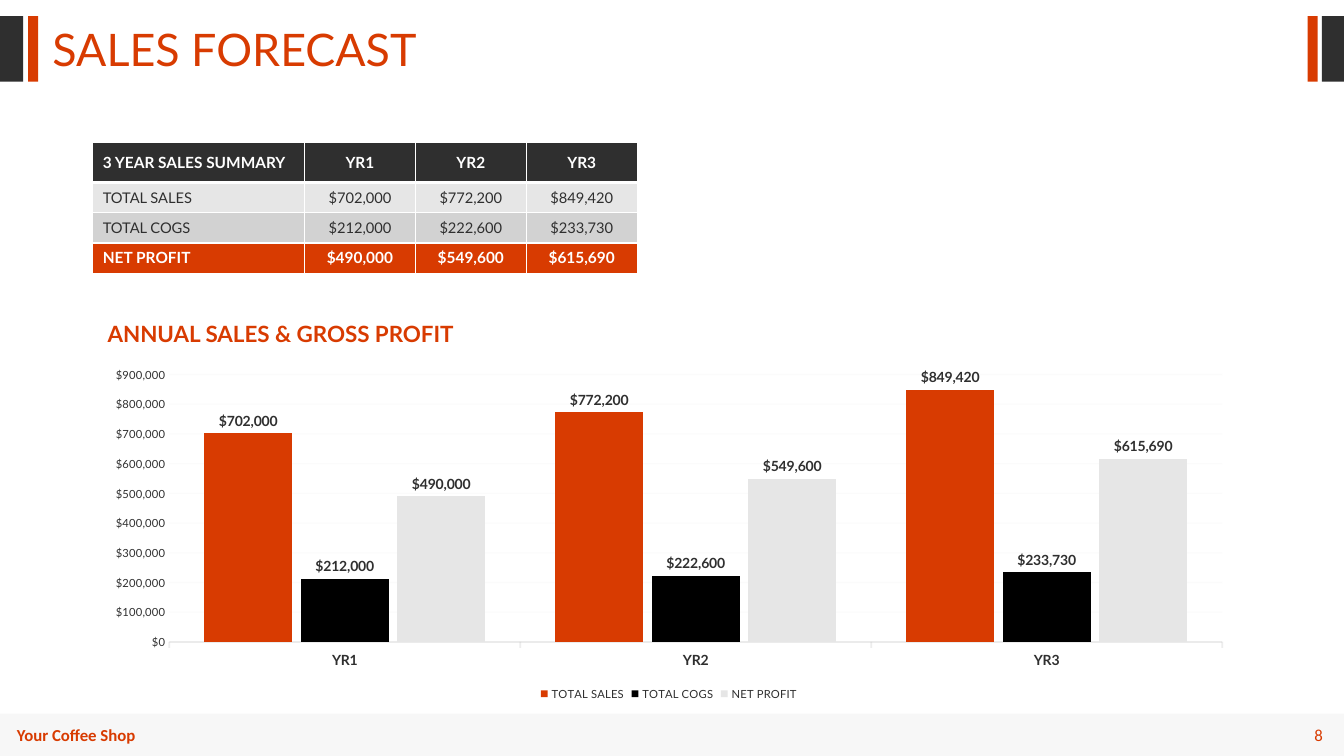
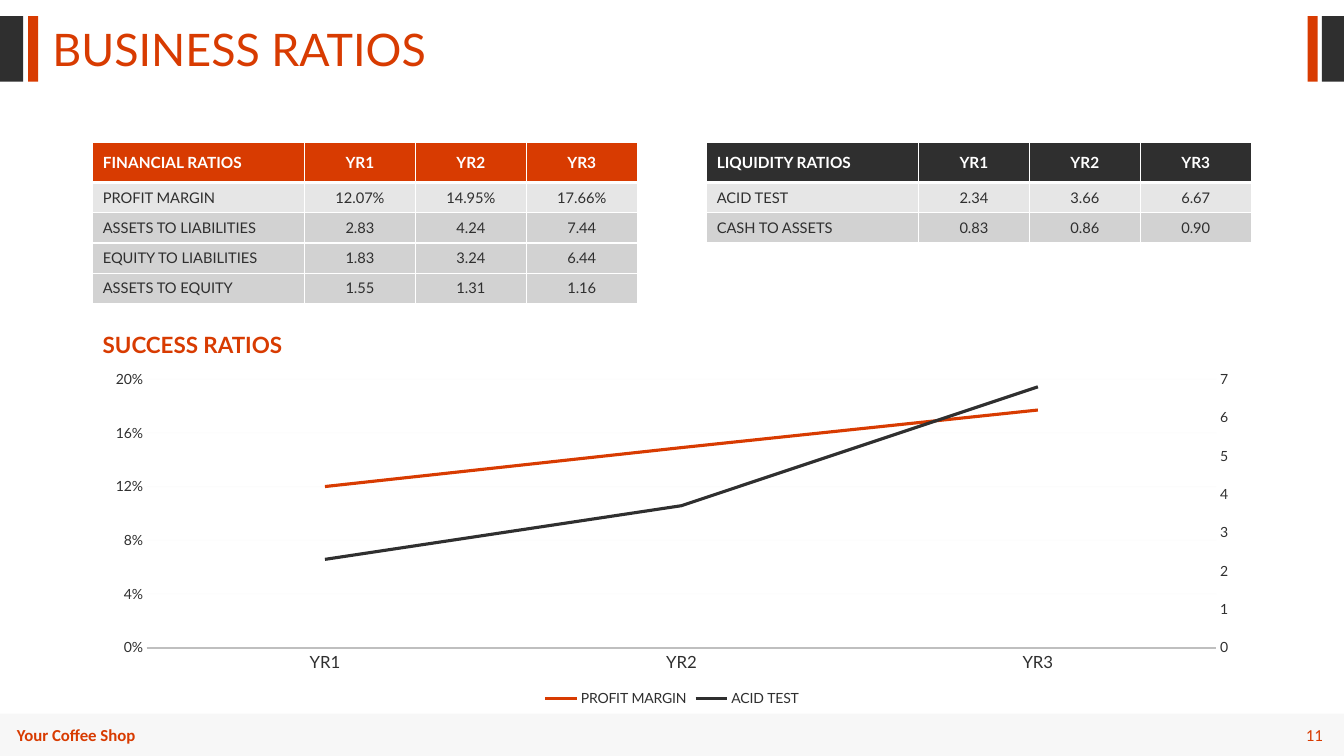
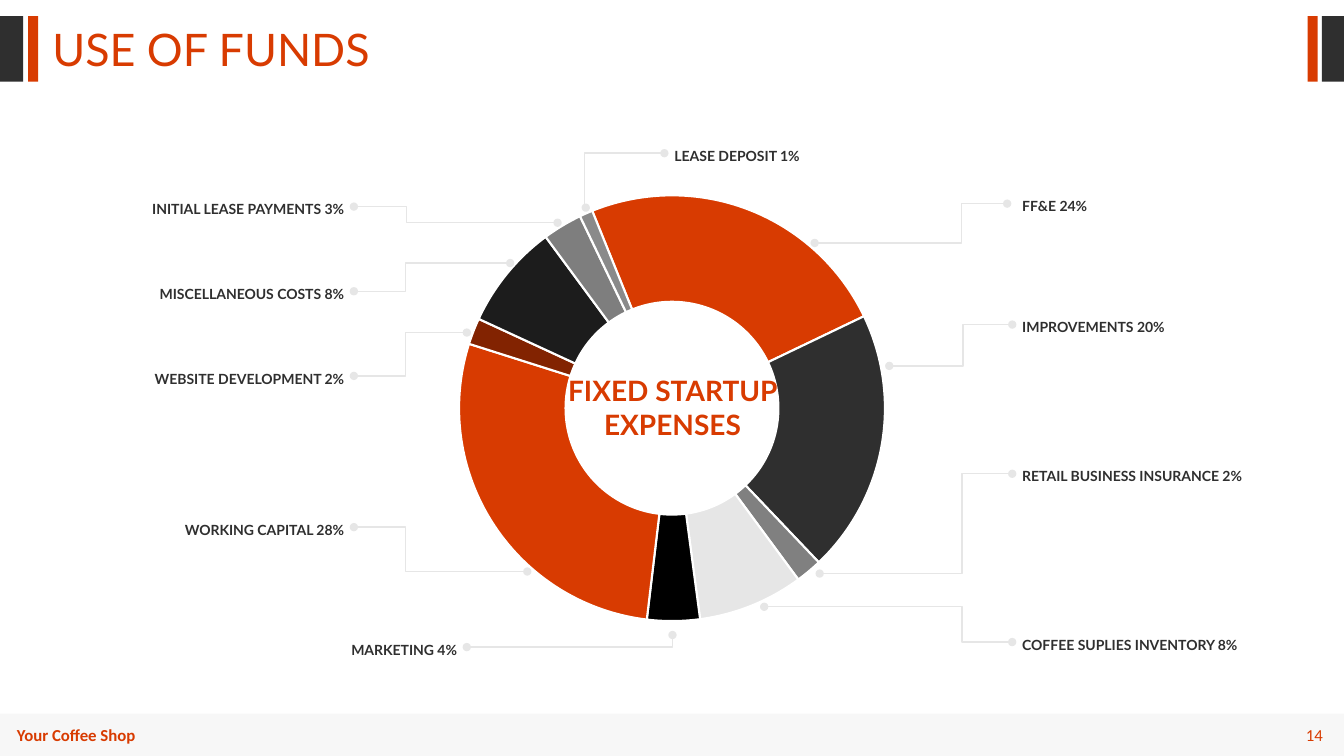
from copy import deepcopy

from lxml import etree
from pptx import Presentation
from pptx.chart.axis import ValueAxis
from pptx.chart.data import CategoryChartData
from pptx.dml.color import RGBColor
from pptx.enum.chart import XL_CHART_TYPE, XL_LABEL_POSITION, XL_LEGEND_POSITION, XL_TICK_MARK
from pptx.enum.shapes import MSO_CONNECTOR, MSO_SHAPE
from pptx.enum.text import MSO_ANCHOR, MSO_AUTO_SIZE, PP_ALIGN
from pptx.oxml.ns import qn
from pptx.util import Pt

PX = 9144
SLIDE_W, SLIDE_H = 1333, 750
COLUMN, LINE, DOUGHNUT = XL_CHART_TYPE.COLUMN_CLUSTERED, XL_CHART_TYPE.LINE, XL_CHART_TYPE.DOUGHNUT
OUTSIDE_END = XL_LABEL_POSITION.OUTSIDE_END
BOTTOM = XL_LEGEND_POSITION.BOTTOM
TICK_OUT, TICK_NONE = XL_TICK_MARK.OUTSIDE, XL_TICK_MARK.NONE
ELBOW, RECTANGLE = MSO_CONNECTOR.ELBOW, MSO_SHAPE.RECTANGLE
TOP, MIDDLE = MSO_ANCHOR.TOP, MSO_ANCHOR.MIDDLE
NO_AUTOFIT = MSO_AUTO_SIZE.NONE
LEFT, CENTER, RIGHT = PP_ALIGN.LEFT, PP_ALIGN.CENTER, PP_ALIGN.RIGHT

COLORS = {
    "accent": "D83B01", "dark": "2F2F2F", "white": "FFFFFF", "black": "000000",
    "light": "E6E6E6", "mid": "D2D2D2", "axis": "BFBFBF", "grid": "F2F2F2",
    "gray": "808080", "rust": "822301", "coal": "1C1C1C", "ash": "7E7E7E", "smoke": "8A8A8A",
}
TITLE = {"name": "Lato", "size": Pt(32), "color": "accent", "bold": False}
HEADING = {"name": "Lato", "size": Pt(16), "color": "accent", "bold": True}
HUB = {**HEADING, "size": Pt(20)}
FOOTER = {"name": "Calibri", "size": Pt(12), "color": "accent", "bold": True}
PAGE = {**FOOTER, "bold": False}
STRONG_CELL = {"name": "Lato", "size": Pt(11), "color": "white", "bold": True}
CELL = {"name": "Lato", "size": Pt(10.5), "color": "dark", "bold": False}
SMALL = {"name": "Lato", "size": Pt(8), "color": "dark"}
PLAIN = {**SMALL, "size": Pt(10)}
LABEL = {**PLAIN, "bold": True}
YEARS = ["YR1", "YR2", "YR3"]
DOLLARS = '"$"#,##0'


def px(*lengths):
    return [length * PX for length in lengths]


def rgb(name):
    return RGBColor.from_string(COLORS[name])


def apply(target, values):
    for name, value in values.items():
        setattr(target, name, value)


def style(font, color, **values):
    apply(font, values)
    font.color.rgb = rgb(color)


def paint(fill, color):
    fill.solid()
    fill.fore_color.rgb = rgb(color)


def fade(element, percent):
    for color in element.iter(qn("a:srgbClr")):
        etree.SubElement(color, qn("a:alpha"), val=str(percent * 1000))


def write(frame, text, font, align=LEFT, spacing=None):
    frame.text = text
    paragraph = frame.paragraphs[0]
    apply(paragraph, {"alignment": align, "line_spacing": spacing})
    style(paragraph.runs[0].font, **font)


def add_text(shapes, box, text, font, align=LEFT, spacing=None, anchor=TOP, wrap=True):
    textbox = shapes.add_textbox(*px(*box))
    apply(textbox.text_frame, {"word_wrap": wrap, "vertical_anchor": anchor})
    write(textbox.text_frame, text, font, align, spacing)
    return textbox


def add_band(shapes, box, color):
    band = shapes.add_shape(RECTANGLE, *px(*box))
    band.shadow.inherit = False
    paint(band.fill, color)
    band.line.fill.background()
    return band


def dress_layout(layout, shapes):
    for placeholder in list(layout.placeholders)[1:]:
        placeholder._element.getparent().remove(placeholder._element)
    left, top, width, height = px(42, 27, 667, 54)
    apply(layout.placeholders[0], {"left": left, "top": top, "width": width, "height": height})
    bands = [(0, 23, "dark"), (28, 10, "accent"), (1297, 10, "accent"), (1311, 22, "dark")]
    parts = [add_band(shapes, (x, 16, width, 65), color) for x, width, color in bands]
    footer_bar = add_band(shapes, (0, 708, SLIDE_W, 42), "light")
    fade(footer_bar._element.spPr, 30)
    parts += [footer_bar, add_text(shapes, (7, 714, 184, 30), "Your Coffee Shop", FOOTER)]
    for part in parts:
        layout.shapes._spTree.append(part._element)


def add_heads(slide, title, page):
    frame = slide.shapes.title.text_frame
    apply(frame, {"vertical_anchor": TOP, "auto_size": NO_AUTOFIT})
    write(frame, title, TITLE, spacing=0.8)
    add_text(slide.shapes, (1235, 714, 87, 30), page, PAGE, RIGHT, anchor=MIDDLE)


def add_borders(cell, bottom):
    properties = cell._tc.get_or_add_tcPr()
    for side, points in (("L", 1), ("R", 1), ("T", 1), ("B", bottom)):
        border = etree.SubElement(properties, qn(f"a:ln{side}"), w=str(Pt(points)))
        fill = etree.SubElement(border, qn("a:solidFill"))
        etree.SubElement(fill, qn("a:srgbClr"), val=COLORS["white"])


def add_summary(slide, left, name, rows, head_color, total=False):
    rows = [[name, *YEARS], *rows]
    row_heights = [40] + [30] * (len(rows) - 1)
    fills = [head_color, "light"] + ["mid"] * (len(rows) - 2)
    if total:
        fills[-1] = "accent"
    table = slide.shapes.add_table(len(rows), 4, *px(left, 141, 540, sum(row_heights))).table
    for column, width in zip(table.columns, px(210, 110, 110, 110)):
        column.width = width
    for r, (row, height, fill) in enumerate(zip(rows, row_heights, fills)):
        table.rows[r].height = height * PX
        font = CELL if fill in ("light", "mid") else STRONG_CELL
        for c, text in enumerate(row):
            cell = table.cell(r, c)
            add_borders(cell, 1 if r else 3)
            paint(cell.fill, fill)
            cell.vertical_anchor = MIDDLE
            write(cell.text_frame, text, font, CENTER if c else LEFT)


def add_chart(slide, kind, box, categories, series, font, legend=None):
    data = CategoryChartData()
    data.categories = categories
    for name, values in series:
        data.add_series(name, values)
    chart = slide.shapes.add_chart(kind, *px(*box), data).chart
    chart.has_title = False
    style(chart.font, **font)
    chart.has_legend = legend is not None
    if legend:
        apply(chart.legend, {"position": BOTTOM, "include_in_layout": False})
        style(chart.legend.font, **legend)
    return chart


def format_axes(chart, category, value, category_font, value_font, line, grid):
    category_axis, value_axis = chart.category_axis, chart.value_axis
    apply(category_axis, category)
    style(category_axis.tick_labels.font, **category_font)
    category_axis.format.line.color.rgb = rgb("axis")
    category_axis.format.line.width = Pt(line)
    apply(value_axis, {"minimum_scale": 0, "major_tick_mark": TICK_NONE, **value})
    style(value_axis.tick_labels.font, **value_font)
    value_axis.format.line.fill.background()
    color, percent = grid
    gridline = value_axis.major_gridlines.format.line
    gridline.color.rgb = rgb(color)
    gridline.width = Pt(0.75)
    fade(value_axis._element.find(qn("c:majorGridlines")), percent)


def set_format(labels, number_format):
    apply(labels, {"number_format": number_format, "number_format_is_linked": False})


def move_to_right_axis(chart):
    plot = chart._chartSpace.find(".//" + qn("c:lineChart"))
    right_plot = deepcopy(plot)
    plot.remove(plot.findall(qn("c:ser"))[1])
    right_plot.remove(right_plot.find(qn("c:ser")))
    plot.addnext(right_plot)
    category, value = chart.category_axis._element, chart.value_axis._element
    right_category, right_value = deepcopy(category), deepcopy(value)
    value.addnext(right_value)
    right_value.addnext(right_category)
    ids = {category.find(qn("c:axId")).get("val"): "7001", value.find(qn("c:axId")).get("val"): "7002"}
    for part in (right_plot, right_category, right_value):
        for reference in part.iter(qn("c:axId"), qn("c:crossAx")):
            reference.set("val", ids[reference.get("val")])
    right_category.find(qn("c:delete")).set("val", "1")
    right_value.find(qn("c:axPos")).set("val", "r")
    right_value.find(qn("c:crosses")).set("val", "max")
    right_axis = ValueAxis(right_value)
    apply(right_axis, {"has_major_gridlines": False, "maximum_scale": 7, "major_unit": 1})
    set_format(right_axis.tick_labels, "#,##0")


def add_sales_chart(slide):
    series = [
        ("TOTAL SALES", (702000, 772200, 849420)),
        ("TOTAL COGS", (212000, 222600, 233730)),
        ("NET PROFIT", (490000, 549600, 615690)),
    ]
    chart = add_chart(slide, COLUMN, (92, 358, 1143, 341), YEARS, series, SMALL, SMALL)
    format_axes(chart, {"major_tick_mark": TICK_OUT}, {"maximum_scale": 900000, "major_unit": 100000},
                LABEL, SMALL, 1.25, ("grid", 30))
    fade(chart.category_axis._element.find(qn("c:spPr")), 27)
    set_format(chart.value_axis.tick_labels, DOLLARS)
    plot = chart.plots[0]
    apply(plot, {"gap_width": 80, "overlap": -10, "vary_by_categories": False, "has_data_labels": True})
    apply(plot.data_labels, {"show_value": True, "position": OUTSIDE_END})
    set_format(plot.data_labels, DOLLARS)
    style(plot.data_labels.font, **LABEL)
    for bars, color in zip(plot.series, ("accent", "black", "light")):
        paint(bars.format.fill, color)


def add_ratio_chart(slide):
    series = [("PROFIT MARGIN", (0.12, 0.149, 0.177)), ("ACID TEST", (2.3, 3.7, 6.8))]
    chart = add_chart(slide, LINE, (92, 361, 1149, 344), YEARS, series, PLAIN, PLAIN)
    format_axes(chart, {"major_tick_mark": TICK_NONE}, {"maximum_scale": 0.2, "major_unit": 0.04},
                {**PLAIN, "size": Pt(12)}, PLAIN, 1.5, ("light", 10))
    set_format(chart.value_axis.tick_labels, "0%")
    chart.plots[0].vary_by_categories = False
    for ratio, color in zip(chart.plots[0].series, ("accent", "dark")):
        ratio.smooth = False
        ratio.format.line.color.rgb = rgb(color)
        ratio.format.line.width = Pt(2.25)
    move_to_right_axis(chart)


def add_funds_chart(slide):
    shares = (24, 20, 2, 8, 4, 28, 2, 8, 3, 1)
    colors = ("accent", "dark", "gray", "light", "black", "accent", "rust", "coal", "ash", "smoke")
    categories = [str(number) for number in range(1, len(shares) + 1)]
    chart = add_chart(slide, DOUGHNUT, (329, 180, 675, 450), categories, [("Series 1", shares)],
                      {"name": "Calibri", "size": Pt(10), "color": "black"})
    ring = chart.plots[0]
    ring.vary_by_categories = True
    ring._element.find(qn("c:firstSliceAng")).set("val", "338")
    ring._element.find(qn("c:holeSize")).set("val", "64")
    for index, color in enumerate(colors):
        slice_format = ring.series[0].points[index].format
        paint(slice_format.fill, color)
        slice_format.line.color.rgb = rgb("white")
        slice_format.line.width = Pt(1.5)


def add_leader(slide, start, turn, end):
    leader = slide.shapes.add_connector(ELBOW, *px(*start, *end))
    leader.line.color.rgb = rgb("light")
    leader.line.width = Pt(1)
    properties = leader._element.spPr
    bend = round(100000 * (turn - start[0]) / (end[0] - start[0]))
    guides = properties.find(qn("a:prstGeom")).get_or_add_avLst()
    etree.SubElement(guides, qn("a:gd"), name="adj1", fmla=f"val {bend}")
    for tip in ("a:headEnd", "a:tailEnd"):
        etree.SubElement(properties.find(qn("a:ln")), qn(tip), type="oval")
    etree.SubElement(properties, qn("a:effectLst"))


def add_callout(slide, text, align, edge, start, turn, end):
    width = 309
    left = edge - width if align == RIGHT else edge
    add_text(slide.shapes, (left, start[1] - 14, width, 28), text, LABEL, align, 1.2)
    add_leader(slide, start, turn, end)


def build_sales(slide):
    add_heads(slide, "SALES FORECAST", "8")
    add_summary(slide, 92, "3 YEAR SALES SUMMARY", [
        ["TOTAL SALES", "$702,000", "$772,200", "$849,420"],
        ["TOTAL COGS", "$212,000", "$222,600", "$233,730"],
        ["NET PROFIT", "$490,000", "$549,600", "$615,690"],
    ], "dark", total=True)
    add_text(slide.shapes, (92, 313, 373, 37), "ANNUAL SALES & GROSS PROFIT", HEADING, CENTER, wrap=False)
    add_sales_chart(slide)


def build_ratios(slide):
    add_heads(slide, "BUSINESS RATIOS", "11")
    add_summary(slide, 92, "FINANCIAL RATIOS", [
        ["PROFIT MARGIN", "12.07%", "14.95%", "17.66%"],
        ["ASSETS TO LIABILITIES", "2.83", "4.24", "7.44"],
        ["EQUITY TO LIABILITIES", "1.83", "3.24", "6.44"],
        ["ASSETS TO EQUITY", "1.55", "1.31", "1.16"],
    ], "accent")
    add_summary(slide, 701, "LIQUIDITY RATIOS", [
        ["ACID TEST", "2.34", "3.66", "6.67"],
        ["CASH TO ASSETS", "0.83", "0.86", "0.90"],
    ], "dark")
    add_text(slide.shapes, (92, 324, 202, 37), "SUCCESS RATIOS", HEADING, wrap=False)
    add_ratio_chart(slide)


def build_funds(slide):
    add_heads(slide, "USE OF FUNDS", "14")
    add_funds_chart(slide)
    callouts = [
        ("FF&E 24%", LEFT, 1004, (999, 202), 954, (808, 241)),
        ("IMPROVEMENTS 20%", LEFT, 1004, (1004, 322), 955, (882, 363)),
        ("RETAIL BUSINESS INSURANCE 2%", LEFT, 1004, (1004, 470), 954, (813, 569)),
        ("COFFEE SUPLIES INVENTORY 8%", LEFT, 1004, (1004, 637), 954, (758, 602)),
        ("MARKETING 4%", RIGHT, 463, (463, 642), 667, (667, 630)),
        ("WORKING CAPITAL 28%", RIGHT, 351, (351, 523), 402, (523, 567)),
        ("WEBSITE DEVELOPMENT 2%", RIGHT, 351, (351, 373), 402, (463, 330)),
        ("MISCELLANEOUS COSTS 8%", RIGHT, 351, (351, 289), 402, (506, 261)),
        ("INITIAL LEASE PAYMENTS 3%", RIGHT, 351, (351, 205), 403, (553, 221)),
        ("LEASE DEPOSIT 1%", LEFT, 659, (659, 152), 580, (581, 206)),
    ]
    for callout in callouts:
        add_callout(slide, *callout)
    add_text(slide.shapes, (516, 366, 302, 77), "FIXED STARTUP EXPENSES", HUB, CENTER)


def main():
    prs = Presentation()
    prs.slide_width, prs.slide_height = px(SLIDE_W, SLIDE_H)
    layout = prs.slide_layouts[5]
    builders = (build_sales, build_ratios, build_funds)
    slides = [prs.slides.add_slide(layout) for _ in builders]
    dress_layout(layout, slides[0].shapes)
    for build, slide in zip(builders, slides):
        build(slide)
    prs.save("out.pptx")


if __name__ == "__main__":
    main()
